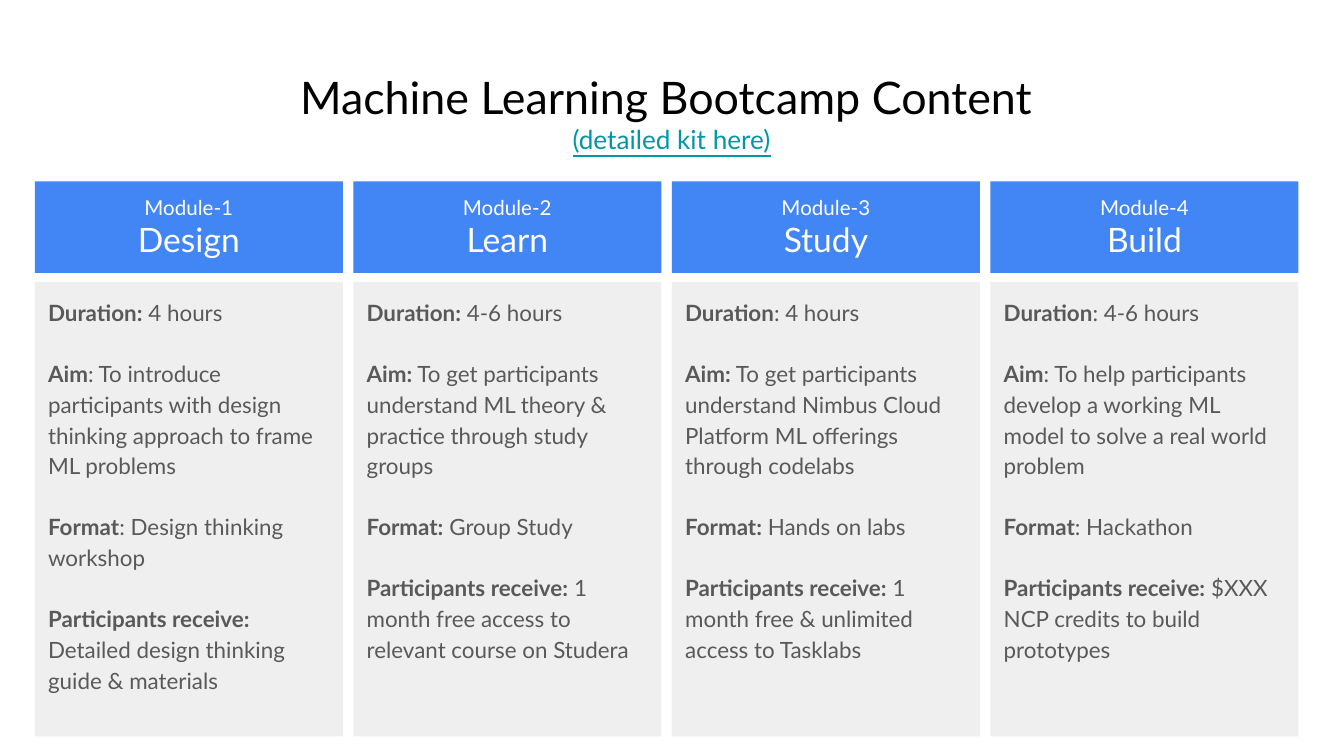
"""Build the slide that lists the four bootcamp modules."""
from pptx import Presentation
from pptx.dml.color import RGBColor
from pptx.enum.shapes import MSO_SHAPE
from pptx.enum.text import MSO_ANCHOR, PP_ALIGN
from pptx.util import Cm, Pt

RECT = MSO_SHAPE.RECTANGLE
TOP, BOTTOM = MSO_ANCHOR.TOP, MSO_ANCHOR.BOTTOM
LEFT, CENTER = PP_ALIGN.LEFT, PP_ALIGN.CENTER
BLACK = RGBColor(0x00, 0x00, 0x00)
WHITE = RGBColor(0xFF, 0xFF, 0xFF)
BLUE = RGBColor(0x42, 0x85, 0xF4)
TEAL = RGBColor(0x00, 0x97, 0xA7)
PALE = RGBColor(0xEF, 0xEF, 0xEF)
GREY = RGBColor(0x59, 0x59, 0x59)

EDGE, STEP, WIDTH = 0.66, 6.02, 5.82

MODULES = [
    ("Design", [
        ("Duration:", " 4 hours"),
        ("Aim", ": To introduce participants with design thinking approach to frame ML problems"),
        ("Format", ": Design thinking workshop"),
        ("Participants receive:", " Detailed design thinking guide & materials"),
    ]),
    ("Learn", [
        ("Duration:", " 4-6 hours"),
        ("Aim:", " To get participants understand ML theory & practice through study groups"),
        ("Format:", " Group Study"),
        ("Participants receive:", " 1 month free access to relevant course on Studera"),
    ]),
    ("Study", [
        ("Duration", ": 4 hours"),
        ("Aim:", " To get participants understand Nimbus Cloud Platform ML offerings through codelabs"),
        ("Format:", " Hands on labs"),
        ("Participants receive:", " 1 month free & unlimited access to Tasklabs"),
    ]),
    ("Build", [
        ("Duration", ": 4-6 hours"),
        ("Aim", ": To help participants develop a working ML model to solve a real world problem"),
        ("Format", ": Hackathon"),
        ("Participants receive:", " $XXX NCP credits to build prototypes"),
    ]),
]


class Deck:
    """Hold the text style and the current slide."""

    font = "Lato"
    inset = Cm(0.25)

    def __init__(self, slide):
        self.slide = slide

    def frame(self, shape, anchor):
        frame = shape.text_frame
        frame.word_wrap = True
        frame.vertical_anchor = anchor
        frame.margin_left = frame.margin_right = self.inset
        frame.margin_top = frame.margin_bottom = self.inset
        return frame

    def line(self, frame, first, size, color, align):
        para = frame.paragraphs[0] if first else frame.add_paragraph()
        para.alignment = align
        para.font.name = self.font
        para.font.size = Pt(size)
        para.font.color.rgb = color
        return para

    def title(self, text, link):
        box = self.slide.shapes.add_textbox(Cm(0.86), Cm(1.57), Cm(23.67), Cm(1.6))
        frame = self.frame(box, BOTTOM)
        self.line(frame, True, 24, BLACK, CENTER).add_run().text = text
        para = self.line(frame, False, 14, TEAL, CENTER)
        run = para.add_run()
        run.text = link
        run.font.underline = True

    def block(self, left, top, height, fill, anchor):
        shape = self.slide.shapes.add_shape(RECT, Cm(left), Cm(top), Cm(WIDTH), Cm(height))
        shape.shadow.inherit = False
        shape.fill.solid()
        shape.fill.fore_color.rgb = fill
        shape.line.fill.background()
        return self.frame(shape, anchor)

    def head(self, left, label, name):
        frame = self.block(left, 3.43, 1.73, BLUE, BOTTOM)
        self.line(frame, True, 11, WHITE, CENTER).add_run().text = label
        self.line(frame, False, 18, WHITE, CENTER).add_run().text = name

    def body(self, left, facts):
        frame = self.block(left, 5.33, 8.59, PALE, TOP)
        for num, (key, text) in enumerate(facts):
            para = self.line(frame, num == 0, 12, GREY, LEFT)
            para.line_spacing = 1.15
            if num:
                para.space_before = Pt(16)
            run = para.add_run()
            run.text = key
            run.font.bold = True
            para.add_run().text = text


def main():
    show = Presentation()
    show.slide_width, show.slide_height = Cm(25.4), Cm(14.29)
    deck = Deck(show.slides.add_slide(show.slide_layouts[6]))
    deck.title("Machine Learning Bootcamp Content ", "(detailed kit here)")
    for num, (name, facts) in enumerate(MODULES):
        left = EDGE + num * STEP
        deck.head(left, f"Module-{num + 1}", name)
        deck.body(left, facts)
    show.save("out.pptx")


if __name__ == "__main__":
    main()
